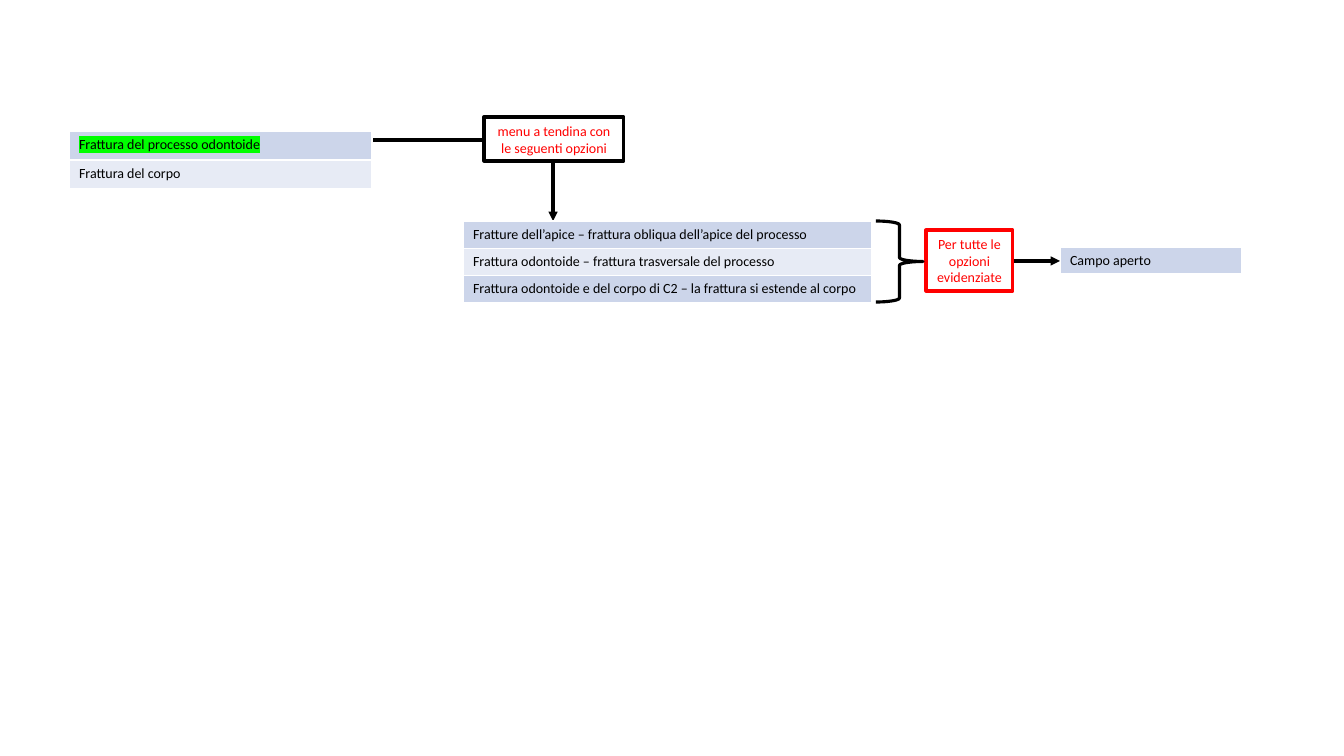
"""Build the slide on fracture options with its drop-down flow."""
from dataclasses import dataclass

from lxml import etree
from pptx import Presentation
from pptx.dml.color import RGBColor
from pptx.enum.shapes import MSO_CONNECTOR, MSO_SHAPE
from pptx.enum.text import MSO_ANCHOR, MSO_AUTO_SIZE, PP_ALIGN
from pptx.oxml.ns import qn
from pptx.util import Pt

STRAIGHT, ELBOW = MSO_CONNECTOR.STRAIGHT, MSO_CONNECTOR.ELBOW
RECTANGLE, BRACE = MSO_SHAPE.RECTANGLE, MSO_SHAPE.RIGHT_BRACE
TOP, MIDDLE = MSO_ANCHOR.TOP, MSO_ANCHOR.MIDDLE
CENTER = PP_ALIGN.CENTER
GROW = MSO_AUTO_SIZE.SHAPE_TO_FIT_TEXT
RIGHT_SIDE = 3

SLIDE_SIZE = (1344, 756)
PX = 12192000 / 1344

FRACTURES = ["Frattura del processo odontoide", "Frattura del corpo"]
HIGHLIGHTED = FRACTURES[0]
OPTIONS = [
    "Fratture dell’apice – frattura obliqua dell’apice del processo",
    "Frattura odontoide – frattura trasversale del processo",
    "Frattura odontoide e del corpo di C2 – la frattura si estende al corpo",
]
OPEN_FIELD = ["Campo aperto"]
MENU_NOTE = "menu a tendina con le seguenti opzioni"
FIELD_NOTE = "Per tutte le opzioni evidenziate"

FRACTURES_AT = (69, 131, 303, 29)
OPTIONS_AT = (463, 221, 409, 27)
OPEN_FIELD_AT = (1060, 247, 182, 27)
MENU_AT = (484, 117, 140, 44)
FIELD_NOTE_AT = (926, 230, 87, 61)
BRACE_AT = (876, 221, 47, 81)
MENU_ARROW = (372, 140, 553, 221)
FIELD_ARROW = (1013, 261, 1060, 261)


@dataclass(frozen=True)
class Theme:
    """Colours, font and sizes of the slide."""
    font: str = "Calibri"
    text_size: int = 10
    line_width: float = 2.25
    black: str = "000000"
    white: str = "FFFFFF"
    red: str = "FF0000"
    highlight: str = "00FF00"
    bands: tuple = ("CCD5EA", "E7EBF5")


THEME = Theme()


def emu(*lengths):
    """Turn px lengths into EMU."""
    return [round(length * PX) for length in lengths]


def rgb(colour):
    """Return the colour for a hex string."""
    return RGBColor.from_string(colour)


def paint(filled, colour):
    """Give a shape or cell a solid fill."""
    filled.fill.solid()
    filled.fill.fore_color.rgb = rgb(colour)


def write(frame, text, colour):
    """Put one styled paragraph in a text frame and return its run."""
    frame.text = text
    span = frame.paragraphs[0].runs[0]
    span.font.name = THEME.font
    span.font.size = Pt(THEME.text_size)
    span.font.color.rgb = rgb(colour)
    return span


def mark(span):
    """Highlight a run that already has a colour."""
    highlight = etree.Element(qn("a:highlight"))
    etree.SubElement(highlight, qn("a:srgbClr"), val=THEME.highlight)
    span.font._element.find(qn("a:solidFill")).addnext(highlight)


def draw_line(shape, colour):
    """Set the outline shared by boxes, brace and arrows."""
    shape.line.color.rgb = rgb(colour)
    shape.line.width = Pt(THEME.line_width)


def add_list(page, entries, place, anchor=TOP):
    """Add a one-column banded table."""
    left, top, width, row_height = place
    bounds = emu(left, top, width, row_height * len(entries))
    table = page.shapes.add_table(len(entries), 1, *bounds).table
    table.first_row = table.horz_banding = False
    for index, entry in enumerate(entries):
        table.rows[index].height = emu(row_height)[0]
        cell = table.cell(index, 0)
        cell.vertical_anchor = anchor
        paint(cell, THEME.bands[index % 2])
        span = write(cell.text_frame, entry, THEME.black)
        if entry == HIGHLIGHTED:
            mark(span)


def add_note(page, text, place, outline):
    """Add a white box with centred red text."""
    box = page.shapes.add_shape(RECTANGLE, *emu(*place))
    box.shadow.inherit = False
    paint(box, THEME.white)
    draw_line(box, outline)
    write(box.text_frame, text, THEME.red)
    box.text_frame.word_wrap = True
    box.text_frame.auto_size = GROW
    box.text_frame.paragraphs[0].alignment = CENTER
    return box


def add_arrow(page, kind, ends):
    """Add a black connector with a triangle at its end."""
    arrow = page.shapes.add_connector(kind, *emu(*ends))
    draw_line(arrow, THEME.black)
    properties = arrow._element.spPr
    outline = properties.find(qn("a:ln"))
    etree.SubElement(outline, qn("a:tailEnd"), type="triangle")
    etree.SubElement(properties, qn("a:effectLst"))
    if kind == ELBOW:
        properties.find(qn("a:prstGeom")).set("prst", "bentConnector2")
    return arrow


def main():
    """Lay out the slide and save it."""
    deck = Presentation()
    deck.slide_width, deck.slide_height = emu(*SLIDE_SIZE)
    page = deck.slides.add_slide(deck.slide_layouts[6])

    add_arrow(page, ELBOW, MENU_ARROW)
    add_list(page, OPTIONS, OPTIONS_AT, MIDDLE)
    add_note(page, MENU_NOTE, MENU_AT, THEME.black)
    add_list(page, FRACTURES, FRACTURES_AT)
    add_list(page, OPEN_FIELD, OPEN_FIELD_AT)
    field_arrow = add_arrow(page, STRAIGHT, FIELD_ARROW)
    field_note = add_note(page, FIELD_NOTE, FIELD_NOTE_AT, THEME.red)
    field_arrow.begin_connect(field_note, RIGHT_SIDE)
    field_arrow.begin_y = field_arrow.end_y

    brace = page.shapes.add_shape(BRACE, *emu(*BRACE_AT))
    brace.shadow.inherit = False
    brace.fill.background()
    draw_line(brace, THEME.black)

    deck.save("out.pptx")


if __name__ == "__main__":
    main()
